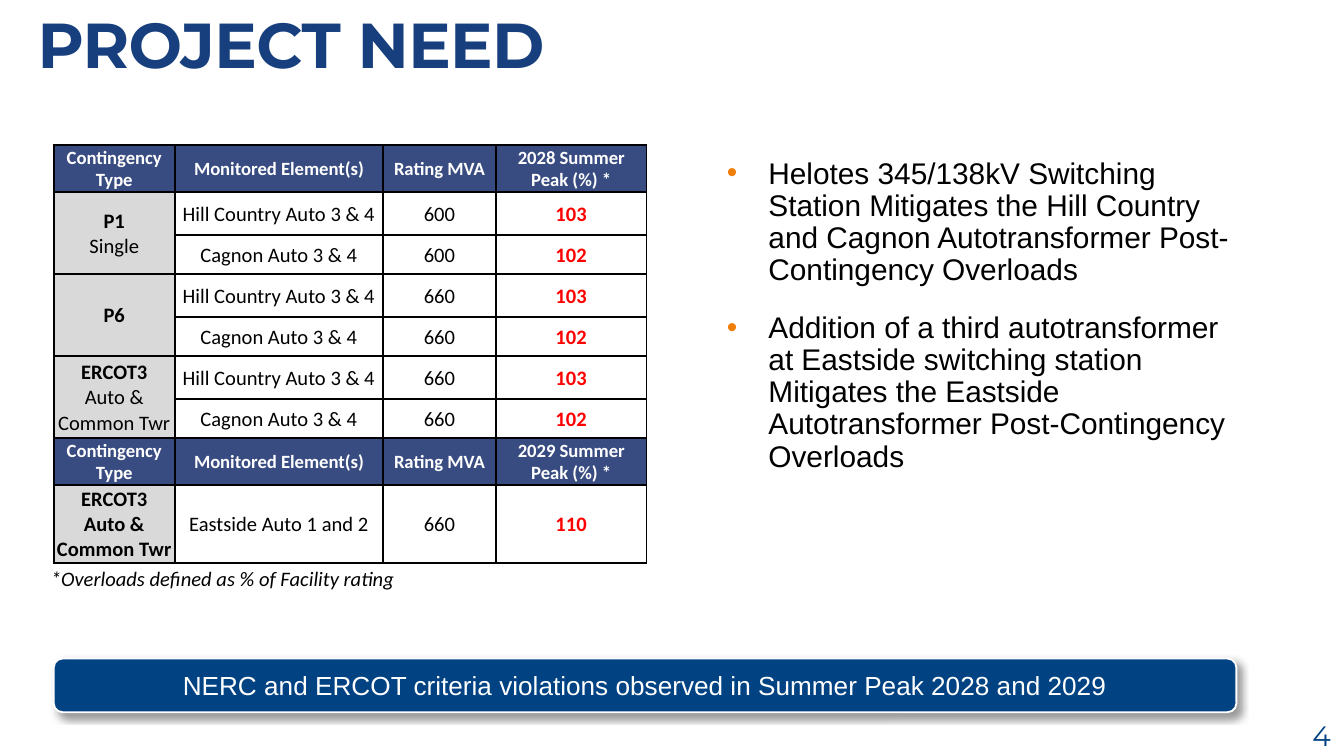
from lxml import etree
from pptx import Presentation
from pptx import util as u
from pptx.dml.color import RGBColor
from pptx.enum import shapes, text
from pptx.oxml import ns

COLORS = {
    "title": "173F7E", "blue": "004282", "header": "394C81", "label": "D9D9D9",
    "white": "FFFFFF", "black": "000000", "red": "FF0000", "orange": "F07F09",
}
CENTER = text.PP_ALIGN.CENTER
MIDDLE = text.MSO_ANCHOR.MIDDLE


def add_element(parent, tag, **attributes):
    element = etree.SubElement(parent, ns.qn(tag))
    for name, value in attributes.items():
        element.set(name, str(value))
    return element


class SlideBuilder:
    """Draw styled elements on the current slide."""

    def __init__(self, deck):
        self.page = deck.slides.add_slide(deck.slide_layouts[5])

    def style(self, para, size, font="Arial", color="black", bold=False, italic=False, align=None):
        para.alignment = align
        for span in para.runs:
            span.font.size = u.Pt(size)
            span.font.name = font
            span.font.color.rgb = RGBColor.from_string(COLORS[color])
            span.font.bold = bold
            span.font.italic = italic

    def title(self, words, left, top, width, height):
        box = self.page.shapes.title
        box.left, box.top, box.width, box.height = map(u.Inches, (left, top, width, height))
        frame = box.text_frame
        frame.text = words
        frame.vertical_anchor = MIDDLE
        frame.auto_size = text.MSO_AUTO_SIZE.NONE
        para = frame.paragraphs[0]
        para.line_spacing = 0.9
        self.style(para, 34, "Montserrat", "title", bold=True, align=text.PP_ALIGN.LEFT)
        para.runs[0].font._element.set("spc", "-30")

    def textbox(self, words, left, top, width, height, size, **style):
        box = self.page.shapes.add_textbox(*map(u.Inches, (left, top, width, height)))
        box.text_frame.word_wrap = True
        box.text_frame.text = words
        self.style(box.text_frame.paragraphs[0], size, **style)

    def bullets(self, items, left, top, width, height):
        box = self.page.shapes.add_textbox(*map(u.Inches, (left, top, width, height)))
        frame = box.text_frame
        frame.word_wrap = True
        frame.text = "\n".join(items)
        for index, para in enumerate(frame.paragraphs):
            para.line_spacing = 0.9
            para.space_before = u.Pt(7.5 if index else 0)
            para.space_after = u.Pt(6)
            properties = para._p.get_or_add_pPr()
            indent = u.Inches(0.31)
            properties.set("marL", str(indent))
            properties.set("indent", str(-indent))
            bullet_color = add_element(properties, "a:buClr")
            add_element(bullet_color, "a:srgbClr", val=COLORS["orange"])
            add_element(properties, "a:buFont", typeface="Arial")
            add_element(properties, "a:buChar", char="•")
            self.style(para, 16)

    def banner(self, words, left, top, width, height):
        box = self.page.shapes.add_shape(
            shapes.MSO_SHAPE.ROUNDED_RECTANGLE, *map(u.Inches, (left, top, width, height)))
        box.fill.solid()
        box.fill.fore_color.rgb = RGBColor.from_string(COLORS["blue"])
        box.line.color.rgb = RGBColor.from_string(COLORS["white"])
        box.line.width = u.Pt(1)
        box.shadow.inherit = False
        effects = box._element.spPr.find(ns.qn("a:effectLst"))
        shadow = add_element(effects, "a:outerShdw", blurRad=u.Pt(4), dist=u.Pt(3),
                             dir=45 * 60000, algn="tl", rotWithShape=0)
        shade = add_element(shadow, "a:srgbClr", val=COLORS["black"])
        add_element(shade, "a:alpha", val=40000)
        box.text_frame.text = words
        box.text_frame.vertical_anchor = MIDDLE
        self.style(box.text_frame.paragraphs[0], 14, color="white", align=CENTER)

    def cell(self, cell, words, fill, size=11, color="black", bold=False, bold_first=False):
        cell.text = words
        cell.vertical_anchor = MIDDLE
        cell.margin_left = cell.margin_right = cell.margin_top = u.Inches(0.01)
        cell.margin_bottom = 0
        for index, para in enumerate(cell.text_frame.paragraphs):
            heavy = bold or (bold_first and index == 0)
            self.style(para, size, "Calibri", color, bold=heavy, align=CENTER)
        properties = cell._tc.get_or_add_tcPr()
        for side in ("a:lnL", "a:lnR", "a:lnT", "a:lnB"):
            border = add_element(properties, side, w=u.Pt(1))
            paint = add_element(border, "a:solidFill")
            add_element(paint, "a:srgbClr", val=COLORS["black"])
        cell.fill.solid()
        cell.fill.fore_color.rgb = RGBColor.from_string(COLORS[fill])

    def table(self, rows, widths, heights, left, top):
        frame = self.page.shapes.add_table(
            len(rows), len(widths),
            *map(u.Inches, (left, top, sum(widths), sum(heights))))
        grid = frame.table
        for column, width in zip(grid.columns, widths):
            column.width = u.Inches(width)
        for line, height in zip(grid.rows, heights):
            line.height = u.Inches(height)
        for r, row in enumerate(rows):
            header = row[0].startswith("Contingency")
            for c, words in enumerate(row):
                cell = grid.cell(r, c)
                if header:
                    self.cell(cell, words, "header", size=10, color="white", bold=True)
                elif c == 0:
                    last = r == len(rows) - 1
                    self.cell(cell, words, "label", bold=last, bold_first=True)
                elif c == 3:
                    self.cell(cell, words, "white", color="red", bold=True)
                else:
                    self.cell(cell, words, "white")
            if not row[0]:
                grid.cell(r - 1, 0).merge(grid.cell(r, 0))


def header_row(year):
    return ["Contingency Type", "Monitored Element(s)", "Rating MVA", f"{year} Summer Peak (%) *"]


def main():
    deck = Presentation()
    deck.slide_width = u.Inches(10)
    deck.slide_height = deck.slide_width * 9 // 16
    slide = SlideBuilder(deck)
    slide.textbox("4", 9.22, 5.3, 0.78, 0.35, 15, font="Montserrat", color="blue",
                  align=text.PP_ALIGN.RIGHT)
    slide.title("PROJECT NEED", 0.18, 0.15, 8.01, 0.41)

    ercot = "ERCOT3\nAuto & Common Twr"
    rows = [header_row(2028)]
    for label, rating in (("P1\nSingle", "600"), ("P6", "660"), (ercot, "660")):
        rows.append([label, "Hill Country Auto 3 & 4", rating, "103"])
        rows.append(["", "Cagnon Auto 3 & 4", rating, "102"])
    rows += [header_row(2029), [ercot, "Eastside Auto 1 and 2", "660", "110"]]
    heights = [0.35] + [0.32, 0.29] * 3 + [0.35, 0.58]
    slide.table(rows, [0.9, 1.55, 0.84, 1.12], heights, 0.4, 1.08)

    slide.textbox("*Overloads defined as % of Facility rating", 0.28, 4.16, 2.85, 0.29, 11,
                  font="Calibri", italic=True)
    slide.banner("NERC and ERCOT criteria violations observed in Summer Peak 2028 and 2029",
                 0.4, 4.9, 8.8, 0.4)
    slide.bullets([
        "Helotes 345/138kV Switching Station Mitigates the Hill Country and Cagnon "
        "Autotransformer Post-Contingency Overloads",
        "Addition of a third autotransformer at Eastside switching station Mitigates "
        "the Eastside Autotransformer Post-Contingency Overloads",
    ], 5.31, 1.13, 4.04, 3.14)
    deck.save("out.pptx")


if __name__ == "__main__":
    main()
